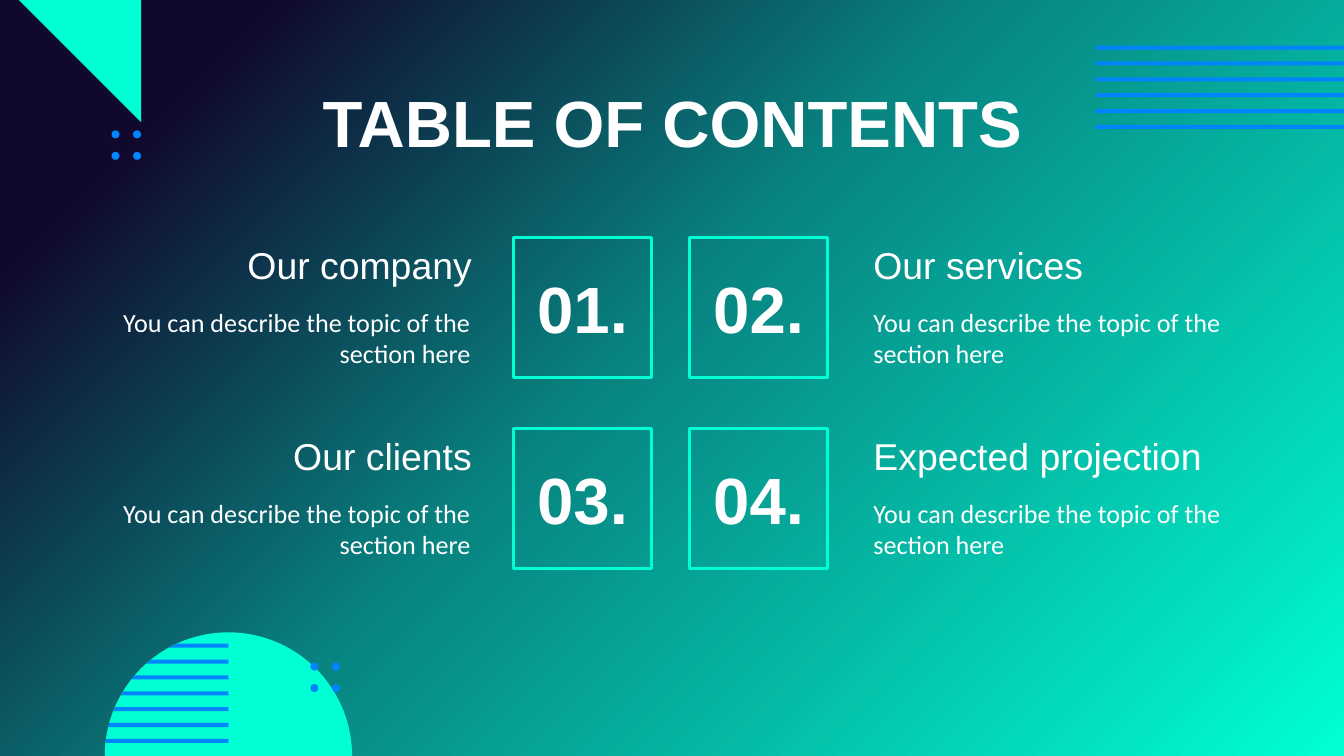
from dataclasses import dataclass
from math import cos, pi, sin, sqrt

from lxml.etree import SubElement
from pptx import Presentation
from pptx.dml.color import RGBColor
from pptx.enum.shapes import MSO_SHAPE
from pptx.enum.text import MSO_ANCHOR, PP_ALIGN
from pptx.oxml.ns import qn
from pptx.shapes.autoshape import Shape
from pptx.slide import Slide
from pptx.util import Inches, Pt


@dataclass(frozen=True)
class Theme:
    mint: str = "00FFD5"
    blue: str = "0084FF"
    white: str = "FFFFFF"
    gradient: tuple = ((0, "10092D"), (13, "10092D"), (47, "088481"), (100, "00FFD5"))
    heading_font: str = "Arial"
    body_font: str = "Calibri"
    title_size: int = 35
    heading_size: int = 20
    body_size: int = 14


@dataclass(frozen=True)
class Section:
    number: str
    heading: str
    body: str = "You can describe the topic of the section here"


@dataclass(frozen=True)
class Column:
    box_x: float
    heading_x: float
    body_x: float
    align: PP_ALIGN


THEME = Theme()
SLIDE_W = 10
SLIDE_H = SLIDE_W * 9 / 16
SECTIONS = [
    Section("01.", "Our company"),
    Section("02.", "Our services"),
    Section("03.", "Our clients"),
    Section("04.", "Expected projection"),
]
COLUMNS = [
    Column(3.82, 0.79, 0.78, PP_ALIGN.RIGHT),
    Column(5.13, 6.4, 6.4, PP_ALIGN.LEFT),
]
ROW_TOP, ROW_PITCH = 1.77, 1.42
BOX_W, BOX_H = 1.03, 1.04
TEXT_W = 2.82
STRIPE_H, STRIPE_PITCH = 0.03, 0.59 / 5
DOT, DOT_PITCH = 0.06, 0.16


def set_background(s: Slide) -> None:
    fill = s.background.fill
    fill.gradient()
    fill.gradient_angle = 315
    stops = s.element.find(".//" + qn("a:gsLst"))
    stops.clear()
    for percent, color in THEME.gradient:
        gs = SubElement(stops, qn("a:gs"), pos=str(percent * 1000))
        SubElement(gs, qn("a:srgbClr"), val=color)


def paint(sp: Shape, color: str) -> None:
    sp.shadow.inherit = False
    sp.fill.solid()
    sp.fill.fore_color.rgb = RGBColor.from_string(color)
    sp.line.fill.background()


def add_solid(s: Slide, kind: MSO_SHAPE, x: float, y: float, w: float, h: float, color: str) -> None:
    paint(s.shapes.add_shape(kind, Inches(x), Inches(y), Inches(w), Inches(h)), color)


def add_polygon(s: Slide, points: list[tuple[float, float]], color: str) -> None:
    start, *rest = [(Inches(x), Inches(y)) for x, y in points]
    builder = s.shapes.build_freeform(*start)
    builder.add_line_segments(rest, close=True)
    paint(builder.convert_to_shape(), color)


def add_dots(s: Slide, x: float, y: float) -> None:
    """Draw a two by two square of dots."""
    for col in range(2):
        for row in range(2):
            add_solid(s, MSO_SHAPE.OVAL, x + col * DOT_PITCH, y + row * DOT_PITCH, DOT, DOT, THEME.blue)


def add_striped_dome(s: Slide, cx: float, cy: float, r: float, first_stripe: float) -> None:
    """Draw a half disc whose left quarter carries stripes cut to its edge."""
    steps = 90
    angles = [pi * i / steps for i in range(steps + 1)]
    add_polygon(s, [(cx - r * cos(a), cy - r * sin(a)) for a in angles], THEME.mint)
    for i in range(7):
        top = first_stripe + i * STRIPE_PITCH
        bottom = top + STRIPE_H
        left_top, left_bottom = (cx - sqrt(r**2 - (cy - y) ** 2) for y in (top, bottom))
        add_polygon(s, [(left_top, top), (left_bottom, bottom), (cx, bottom), (cx, top)], THEME.blue)


def write(sp: Shape, text: str, size: int, align: PP_ALIGN, font: str = THEME.heading_font,
          bold: bool = False, anchor: MSO_ANCHOR = MSO_ANCHOR.MIDDLE) -> None:
    tf = sp.text_frame
    tf.word_wrap = True
    tf.vertical_anchor = anchor
    tf.margin_left = tf.margin_right = tf.margin_top = tf.margin_bottom = Inches(0.1)
    p = tf.paragraphs[0]
    p.text = text
    p.alignment = align
    p.font.name = font
    p.font.size = Pt(size)
    p.font.bold = bold
    p.font.color.rgb = RGBColor.from_string(THEME.white)


def add_text_box(s: Slide, x: float, y: float, w: float, h: float) -> Shape:
    return s.shapes.add_textbox(Inches(x), Inches(y), Inches(w), Inches(h))


def add_section(s: Slide, section: Section, top: float, column: Column) -> None:
    sp = s.shapes.add_shape(MSO_SHAPE.RECTANGLE, Inches(column.box_x), Inches(top),
                            Inches(BOX_W), Inches(BOX_H))
    sp.shadow.inherit = False
    sp.fill.background()
    sp.line.color.rgb = RGBColor.from_string(THEME.mint)
    sp.line.width = Pt(1.5)
    write(sp, section.number, THEME.title_size, PP_ALIGN.CENTER, bold=True)

    write(add_text_box(s, column.heading_x, top, TEXT_W, 0.4), section.heading,
          THEME.heading_size, column.align)
    write(add_text_box(s, column.body_x, top + 0.41, TEXT_W, 0.63), section.body,
          THEME.body_size, column.align, font=THEME.body_font, anchor=MSO_ANCHOR.TOP)


def main() -> None:
    prs = Presentation()
    prs.slide_width, prs.slide_height = Inches(SLIDE_W), Inches(SLIDE_H)
    s = prs.slides.add_slide(prs.slide_layouts[6])
    set_background(s)

    stripes_x = 8.15
    for i in range(6):
        add_solid(s, MSO_SHAPE.RECTANGLE, stripes_x, 0.34 + i * STRIPE_PITCH,
                  SLIDE_W - stripes_x, STRIPE_H, THEME.blue)
    add_striped_dome(s, cx=1.7, cy=SLIDE_H, r=0.92, first_stripe=4.79)
    add_polygon(s, [(0.14, 0), (1.05, 0.91), (1.05, 0)], THEME.mint)
    add_dots(s, 0.83, 0.97)
    add_dots(s, 2.31, 4.93)

    write(add_text_box(s, 0.79, 0.59, 8.43, 0.63), "TABLE OF CONTENTS", THEME.title_size,
          PP_ALIGN.CENTER, bold=True)
    for i, section in enumerate(SECTIONS):
        row, col = divmod(i, len(COLUMNS))
        add_section(s, section, ROW_TOP + row * ROW_PITCH, COLUMNS[col])

    prs.save("out.pptx")


if __name__ == "__main__":
    main()
